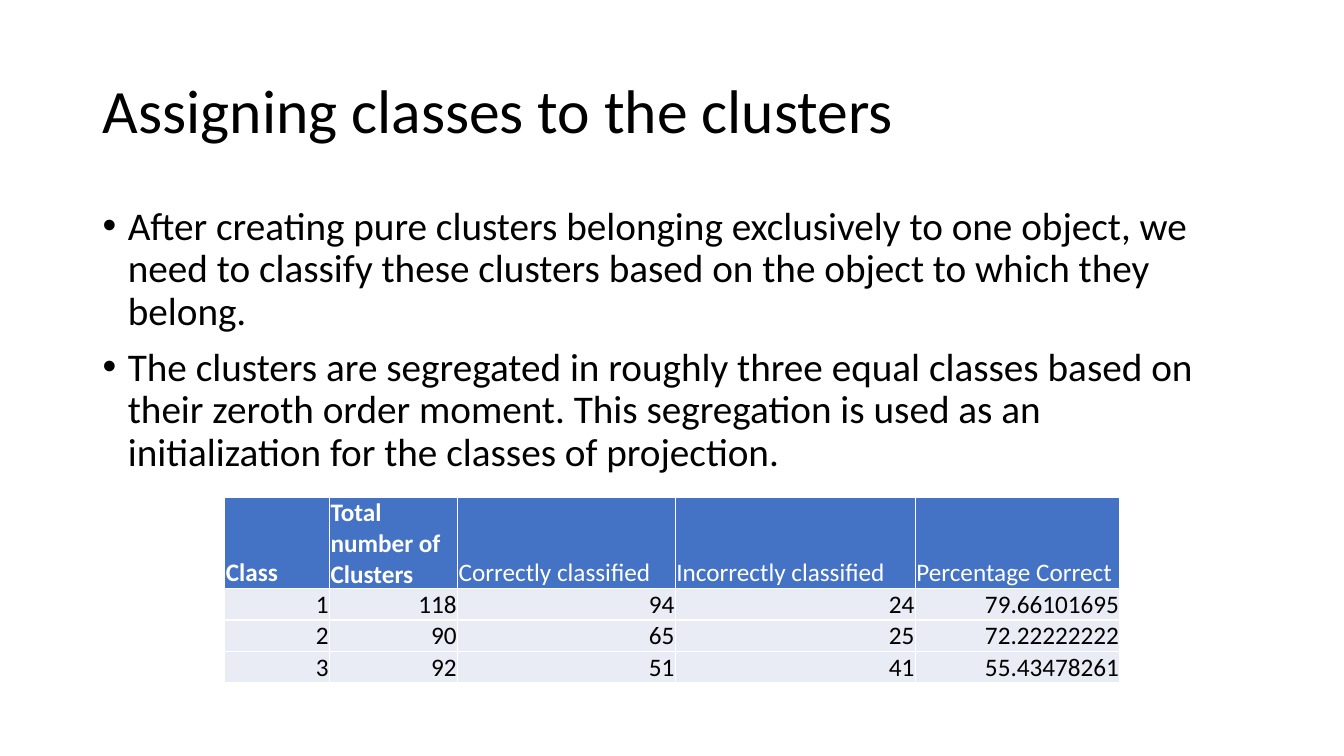
import pptx
import pptx.dml.color
import pptx.enum.text
import pptx.oxml.ns
import pptx.util
from lxml import etree

PX = 9144  # EMU in one px, 100 px to the inch
FONT = "Calibri"
COLORS = {"text": "000000", "header": "4472C4", "header_text": "FFFFFF", "row": "E9EBF5"}
ALIGN = pptx.enum.text.PP_ALIGN
ANCHOR = pptx.enum.text.MSO_ANCHOR

TITLE = "Assigning classes to the clusters"
POINTS = [
    "After creating pure clusters belonging exclusively to one object, we need to "
    "classify these clusters based on the object to which they belong.",
    "The clusters are segregated in roughly three equal classes based on their zeroth "
    "order moment. This segregation is used as an initialization for the classes of projection.",
]
RESULTS = [
    ["Class", "Total number of Clusters", "Correctly classified",
     "Incorrectly classified", "Percentage Correct"],
    ["1", "118", "94", "24", "79.66101695"],
    ["2", "90", "65", "25", "72.22222222"],
    ["3", "92", "51", "41", "55.43478261"],
]
COLUMN_WIDTHS = [104, 127, 216, 238, 203]
HEADER_HEIGHT = 91
BOLD_HEADERS = 2


def rgb(name):
    return pptx.dml.color.RGBColor.from_string(COLORS[name])


def emu(box):
    return [length * PX for length in box]


def format_paragraph(paragraph, size, color, align=ALIGN.LEFT, bold=False):
    paragraph.alignment = align
    for run in paragraph.runs:
        run.font.name = FONT
        run.font.size = pptx.util.Pt(size)
        run.font.bold = bold
        run.font.color.rgb = rgb(color)


def add_bullet(paragraph, indent):
    properties = paragraph._p.get_or_add_pPr()
    properties.set("marL", str(indent * PX))
    properties.set("indent", str(-indent * PX))
    for tag, key, value in (("a:buFont", "typeface", "Arial"), ("a:buChar", "char", "•")):
        etree.SubElement(properties, pptx.oxml.ns.qn(tag)).set(key, value)


def place_title(slide, box):
    title = slide.shapes.title
    title.left, title.top, title.width, title.height = emu(box)
    frame = title.text_frame
    frame.text = TITLE
    frame.auto_size = pptx.enum.text.MSO_AUTO_SIZE.NONE
    frame.vertical_anchor = ANCHOR.MIDDLE
    frame.paragraphs[0].line_spacing = 0.9
    format_paragraph(frame.paragraphs[0], 44, "text")


def add_points(slide, box):
    frame = slide.shapes.add_textbox(*emu(box)).text_frame
    frame.word_wrap = True
    frame.text = "\n".join(POINTS)
    for point in frame.paragraphs:
        point.line_spacing = 0.9
        point.space_before = pptx.util.Pt(10)
        format_paragraph(point, 28, "text")
        add_bullet(point, 25)


def add_results(slide, box):
    """Table of results: the header row is fixed, the others share the remaining height."""
    table = slide.shapes.add_table(len(RESULTS), len(COLUMN_WIDTHS), *emu(box)).table
    table.horz_banding = False
    for column, width in zip(table.columns, COLUMN_WIDTHS):
        column.width = width * PX
    row_height = (box[3] - HEADER_HEIGHT) // (len(RESULTS) - 1)
    for r, values in enumerate(RESULTS):
        is_header = r == 0
        table.rows[r].height = (HEADER_HEIGHT if is_header else row_height) * PX
        for c, value in enumerate(values):
            cell = table.cell(r, c)
            cell.text = value
            cell.vertical_anchor = ANCHOR.BOTTOM
            cell.margin_left = cell.margin_top = cell.margin_right = PX
            cell.margin_bottom = 0
            cell.fill.solid()
            cell.fill.fore_color.rgb = rgb("header" if is_header else "row")
            format_paragraph(
                cell.text_frame.paragraphs[0], 18,
                "header_text" if is_header else "text",
                ALIGN.LEFT if is_header else ALIGN.RIGHT,
                bold=is_header and c < BOLD_HEADERS,
            )


def main():
    deck = pptx.Presentation()
    deck.slide_width, deck.slide_height = emu((1333, 750))
    slide = deck.slides.add_slide(deck.slide_layouts.get_by_name("Title Only"))
    place_title(slide, (92, 40, 1150, 145))
    add_points(slide, (92, 200, 1150, 476))
    add_results(slide, (223, 493, sum(COLUMN_WIDTHS), 184))
    deck.save("out.pptx")


if __name__ == "__main__":
    main()
